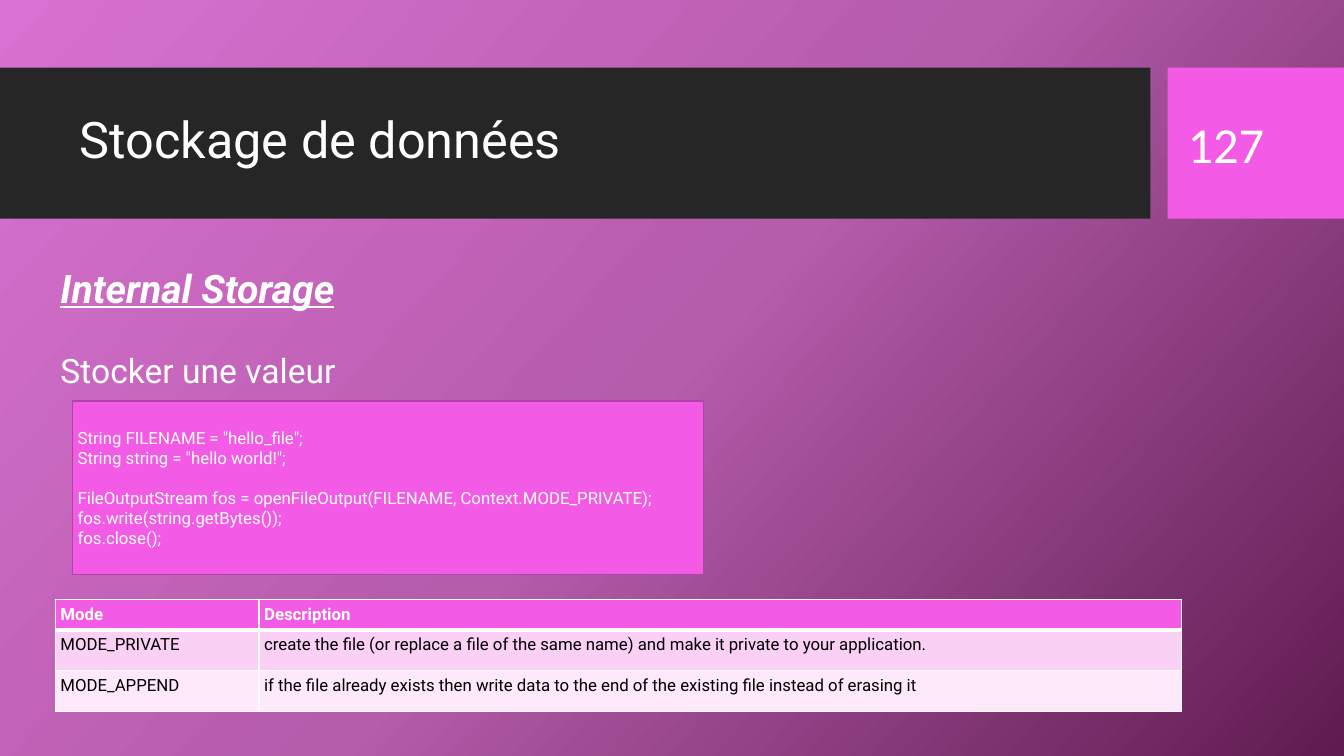
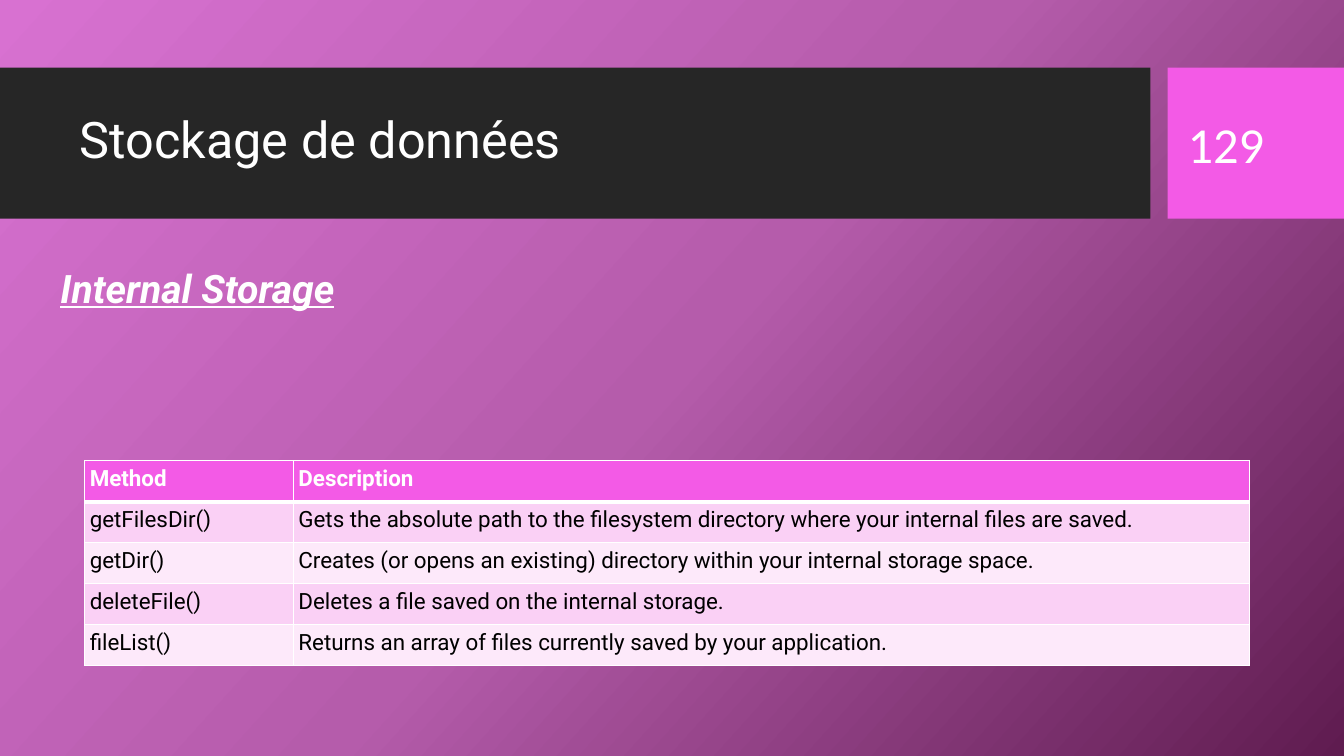
from collections import namedtuple
from copy import deepcopy

from lxml import etree
from pptx import Presentation
from pptx.dml.color import RGBColor
from pptx.enum.shapes import MSO_SHAPE
from pptx.enum.text import MSO_ANCHOR, MSO_AUTO_SIZE, PP_ALIGN
from pptx.oxml.ns import qn
from pptx.util import Inches, Pt

RECTANGLE = MSO_SHAPE.RECTANGLE
TOP, MIDDLE = MSO_ANCHOR.TOP, MSO_ANCHOR.MIDDLE
LEFT = PP_ALIGN.LEFT
GROW = MSO_AUTO_SIZE.SHAPE_TO_FIT_TEXT

COLORS = {
    "band": "262626",
    "accent": "F35AE6",
    "accent_line": "B142A8",
    "row_odd": "FAD0F5",
    "row_even": "FDE9FA",
    "white": "FFFFFF",
    "black": "000000",
}
GRADIENT = [(0, "D871D1"), (0.5, "B55CAB"), (1, "5F1C50")]
GRADIENT_ANGLE = 42
FONT, NUMBER_FONT = "Roboto", "Calibri"
INSET = Inches(0.05)

Box = namedtuple("Box", "left top width height")

TITLE_BAND = Box(0, 0.67, 11.41, 1.5)
NUMBER_BAND = Box(11.58, 0.67, 1.75, 1.5)
CONTENT = Box(0.55, 2.57, 12.38, 1.38)

CODE_BLOCKS = [
    ['String FILENAME = "hello_file";', 'String string = "hello world!";'],
    [
        "FileOutputStream fos = openFileOutput(FILENAME, Context.MODE_PRIVATE);",
        "fos.write(string.getBytes());",
        "fos.close();",
    ],
]
MODES = [
    ("Mode", "Description"),
    ("MODE_PRIVATE", "create the file (or replace a file of the same name) and make it private to your application."),
    ("MODE_APPEND", "if the file already exists then write data to the end of the existing file instead of erasing it"),
]
METHODS = [
    ("Method", "Description"),
    ("getFilesDir()", "Gets the absolute path to the filesystem directory where your internal files are saved."),
    ("getDir()", "Creates (or opens an existing) directory within your internal storage space."),
    ("deleteFile()", "Deletes a file saved on the internal storage."),
    ("fileList()", "Returns an array of files currently saved by your application."),
]


def color(name):
    return RGBColor.from_string(COLORS[name])


def place(box):
    return [Inches(length) for length in box]


def set_background(master):
    fill = master.background.fill
    fill.gradient()
    fill.gradient_angle = 360 - GRADIENT_ANGLE
    stop_list = master.element.find(".//" + qn("p:bg")).find(".//" + qn("a:gsLst"))
    stop_list.append(deepcopy(stop_list[-1]))
    for stop, (position, value) in zip(fill.gradient_stops, GRADIENT):
        stop.position = position
        stop.color.rgb = RGBColor.from_string(value)


def style_paragraph(para, size, font=FONT, shade="white", bold=False):
    para.alignment = LEFT
    for span in para.runs:
        span.font.size = Pt(size)
        span.font.name = font
        span.font.bold = bold
        span.font.color.rgb = color(shade)


def set_frame(frame, anchor=TOP, wrap=True):
    frame.margin_left = frame.margin_right = INSET
    frame.margin_top = frame.margin_bottom = INSET
    frame.vertical_anchor = anchor
    frame.word_wrap = wrap


def add_text(page, box, text, size, font=FONT, anchor=TOP, wrap=True):
    frame = page.shapes.add_textbox(*place(box)).text_frame
    frame.text = text
    set_frame(frame, anchor, wrap)
    style_paragraph(frame.paragraphs[0], size, font)
    return frame


def add_rectangle(page, box, fill, line=None):
    shape = page.shapes.add_shape(RECTANGLE, *place(box))
    shape.shadow.inherit = False
    shape.fill.solid()
    shape.fill.fore_color.rgb = color(fill)
    if line:
        shape.line.color.rgb = color(line)
        shape.line.width = Pt(1)
    else:
        shape.line.fill.background()
    return shape


def add_title_band(page, box, title):
    add_rectangle(page, box, "band")
    title_box = Box(box.left + 0.74, box.top + 0.15, box.width - 0.9, 1.18)
    frame = add_text(page, title_box, title, 36, anchor=MIDDLE)
    frame.paragraphs[0].line_spacing = 0.9


def add_number_band(page, box, number):
    add_rectangle(page, box, "accent")
    number_box = Box(box.left + 0.15, box.top + 0.41, 0.9, 0.68)
    frame = add_text(page, number_box, str(number), 36, NUMBER_FONT, MIDDLE, wrap=False)
    frame.auto_size = GROW


def add_content(page, box, heading, subheading=None):
    frame = add_text(page, box, heading, 28)
    font = frame.paragraphs[0].runs[0].font
    font.bold = font.italic = font.underline = True
    if subheading:
        para = frame.add_paragraph()
        para.text = subheading
        para.space_before = Pt(28)
        style_paragraph(para, 24)


def add_code(page, box, blocks):
    frame = add_rectangle(page, box, "accent", "accent_line").text_frame
    set_frame(frame, MIDDLE)
    frame.text = "\n".join(line for block in blocks for line in block)
    for para in frame.paragraphs:
        style_paragraph(para, 12)
    start = 0
    for block in blocks[:-1]:
        start += len(block)
        frame.paragraphs[start].space_before = Pt(14)


def set_borders(cell, top, bottom):
    properties = cell._tc.get_or_add_tcPr()
    for side, width in (("L", 1), ("R", 1), ("T", top), ("B", bottom)):
        line = etree.SubElement(properties, qn("a:ln" + side), w=str(Pt(width)))
        fill = etree.SubElement(line, qn("a:solidFill"))
        etree.SubElement(fill, qn("a:srgbClr"), val=COLORS["white"])


def fill_cell(cell, text, row, size):
    is_header = row == 0
    set_borders(cell, 3 if row == 1 else 1, 3 if is_header else 1)
    cell.fill.solid()
    shade = "accent" if is_header else "row_odd" if row % 2 else "row_even"
    cell.fill.fore_color.rgb = color(shade)
    cell.margin_left = cell.margin_right = INSET
    cell.margin_top = cell.margin_bottom = INSET
    cell.text = text
    style_paragraph(cell.text_frame.paragraphs[0], size,
                    shade="white" if is_header else "black", bold=is_header)


def add_grid(page, box, rows, first_width, header_height, size):
    table = page.shapes.add_table(len(rows), len(rows[0]), *place(box)).table
    widths = (first_width, box.width - first_width)
    for column, width in zip(table.columns, widths):
        column.width = Inches(width)
    row_height = (box.height - header_height) / (len(rows) - 1)
    for index, texts in enumerate(rows):
        table.rows[index].height = Inches(row_height if index else header_height)
        for column, text in enumerate(texts):
            fill_cell(table.cell(index, column), text, index, size)


def add_page(deck, number, subheading=None):
    page = deck.slides.add_slide(deck.slide_layouts[6])
    add_title_band(page, TITLE_BAND, "Stockage de données")
    add_number_band(page, NUMBER_BAND, number)
    add_content(page, CONTENT, "Internal Storage", subheading)
    return page


def add_modes_page(deck):
    page = add_page(deck, 127, "Stocker une valeur")
    add_code(page, Box(0.72, 3.98, 6.26, 1.72), CODE_BLOCKS)
    add_grid(page, Box(0.55, 5.95, 11.17, 1.11), MODES, 2.02, 0.3, 12)


def add_methods_page(deck):
    page = add_page(deck, 129)
    add_grid(page, Box(0.84, 4.57, 11.55, 2.03), METHODS, 2.07, 0.41, 16)


def main():
    deck = Presentation()
    deck.slide_width, deck.slide_height = Inches(13.33), Inches(7.5)
    set_background(deck.slide_master)
    add_modes_page(deck)
    add_methods_page(deck)
    deck.save("out.pptx")


if __name__ == "__main__":
    main()
